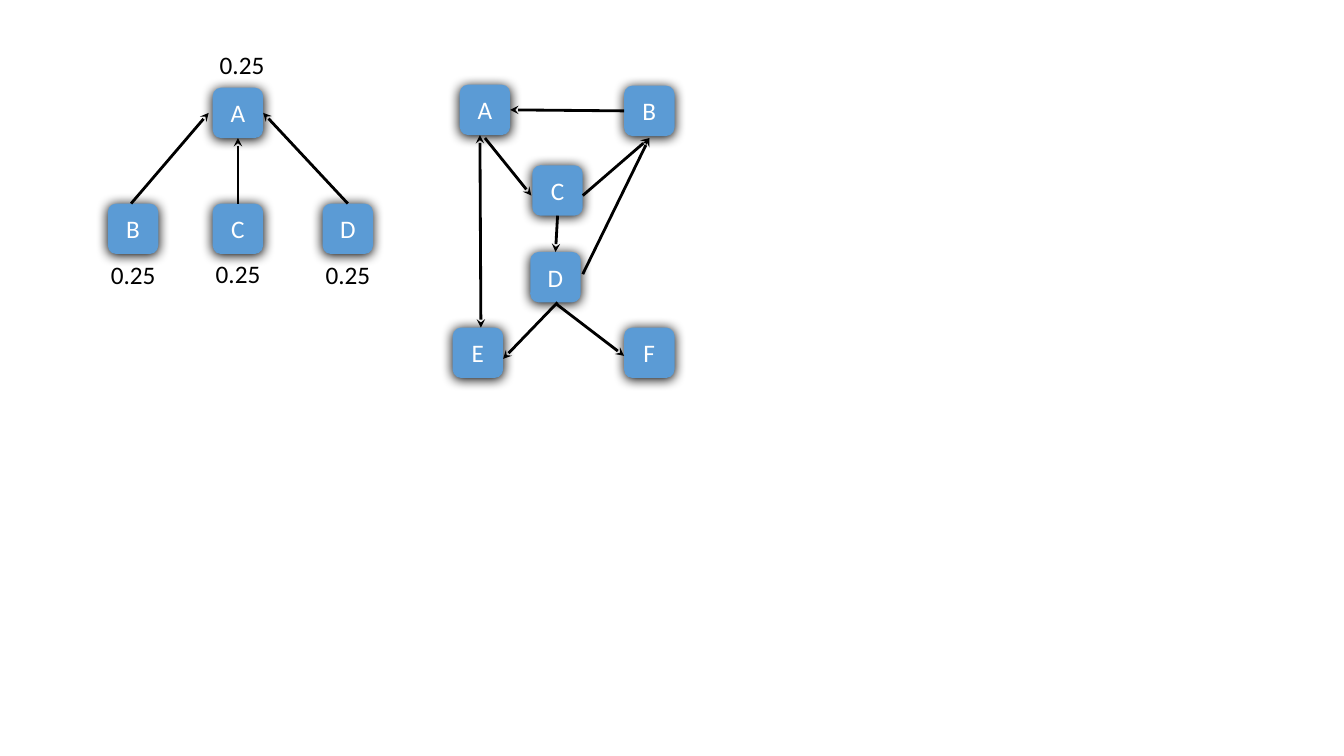
from dataclasses import dataclass
from typing import Any

from lxml import etree
from pptx import Presentation
from pptx import util as u
from pptx.dml import color
from pptx.enum import shapes, text
from pptx.oxml import ns

COLORS = {"node": "5B9BD5", "node_text": "FFFFFF", "ink": "000000"}
FONT = {"name": "Calibri", "size": u.Pt(18)}
NODE_SIZE = 0.5
LABEL_SIZE = (0.65, 0.4)
SHADOW = {"blurRad": u.Pt(8.5), "dist": u.Pt(1), "dir": 90 * 60000,
          "algn": "ctr", "rotWithShape": 0}


@dataclass
class Node:
    name: str
    left: float
    top: float


@dataclass
class Link:
    start: tuple[float, float]
    end: tuple[float, float]
    both_ways: bool = False


@dataclass
class Rank:
    value: str
    left: float
    top: float


@dataclass
class Graph:
    nodes: list[Node]
    links: list[Link]
    ranks: list[Rank]


RANK_GRAPH = Graph(
    nodes=[Node("A", 2.11, 0.87), Node("B", 1.07, 2.02),
           Node("C", 2.11, 2.02), Node("D", 3.2, 2.02)],
    links=[Link((2.36, 2.02), (2.36, 1.37)),
           Link((3.45, 2.02), (2.61, 1.12)),
           Link((1.3, 2.02), (2.07, 1.12))],
    ranks=[Rank("0.25", 2.08, 0.44), Rank("0.25", 1, 2.52),
           Rank("0.25", 2.04, 2.51), Rank("0.25", 3.13, 2.52)],
)

WEB_GRAPH = Graph(
    nodes=[Node("A", 4.56, 0.84), Node("B", 6.19, 0.85),
           Node("C", 5.28, 1.64), Node("D", 5.26, 2.5),
           Node("E", 4.49, 3.25), Node("F", 6.19, 3.25)],
    links=[Link((6.19, 1.1), (5.06, 1.09)),
           Link((5.53, 3), (4.99, 3.56)),
           Link((5.51, 3.01), (6.19, 3.53)),
           Link((5.78, 1.94), (6.44, 1.37)),
           Link((5.78, 2.72), (6.44, 1.37)),
           Link((5.53, 2.14), (5.51, 2.5)),
           Link((4.81, 1.37), (5.27, 1.94)),
           Link((4.76, 1.34), (4.77, 3.25), both_ways=True)],
    ranks=[],
)


def rgb(name: str) -> color.RGBColor:
    return color.RGBColor.from_string(COLORS[name])


def set_all(target: Any, values: dict[str, Any]) -> None:
    for key, value in values.items():
        setattr(target, key, value)


def add_xml(parent: Any, tag: str, **values: Any) -> Any:
    return etree.SubElement(parent, ns.qn(tag),
                            {key: str(value) for key, value in values.items()})


def write(box: Any, words: str, ink: str, align: Any) -> None:
    para = box.text_frame.paragraphs[0]
    para.alignment = align
    span = para.add_run()
    span.text = words
    set_all(span.font, FONT)
    span.font.color.rgb = rgb(ink)


def draw_node(group: Any, node: Node) -> None:
    box = group.shapes.add_shape(
        shapes.MSO_SHAPE.ROUNDED_RECTANGLE,
        *map(u.Inches, (node.left, node.top, NODE_SIZE, NODE_SIZE)))
    box.fill.solid()
    box.fill.fore_color.rgb = rgb("node")
    box.line.fill.background()
    box.shadow.inherit = False
    effects = box.element.spPr.find(ns.qn("a:effectLst"))
    shadow = add_xml(effects, "a:outerShdw", **SHADOW)
    add_xml(shadow, "a:srgbClr", val=COLORS["ink"])
    box.text_frame.vertical_anchor = text.MSO_ANCHOR.MIDDLE
    write(box, node.name, "node_text", text.PP_ALIGN.CENTER)


def draw_link(group: Any, link: Link) -> None:
    arrow = group.shapes.add_connector(
        shapes.MSO_CONNECTOR.STRAIGHT, *map(u.Inches, link.start + link.end))
    arrow.line.color.rgb = rgb("ink")
    arrow.line.width = u.Pt(2)
    outline = arrow.element.spPr.find(ns.qn("a:ln"))
    if link.both_ways:
        add_xml(outline, "a:headEnd", type="stealth")
    add_xml(outline, "a:tailEnd", type="stealth")
    add_xml(arrow.element.spPr, "a:effectLst")


def draw_rank(group: Any, rank: Rank) -> None:
    box = group.shapes.add_textbox(
        *map(u.Inches, (rank.left, rank.top, *LABEL_SIZE)))
    set_all(box.text_frame, {"word_wrap": False,
                             "auto_size": text.MSO_AUTO_SIZE.SHAPE_TO_FIT_TEXT})
    write(box, rank.value, "ink", text.PP_ALIGN.LEFT)


def draw_graph(page: Any, graph: Graph) -> None:
    group = page.shapes.add_group_shape()
    for node in graph.nodes:
        draw_node(group, node)
    for link in graph.links:
        draw_link(group, link)
    for rank in graph.ranks:
        draw_rank(group, rank)


deck = Presentation()
set_all(deck, {"slide_width": u.Inches(13.33), "slide_height": u.Inches(7.5)})
page = deck.slides.add_slide(deck.slide_layouts[6])
for graph in (RANK_GRAPH, WEB_GRAPH):
    draw_graph(page, graph)
deck.save("out.pptx")
